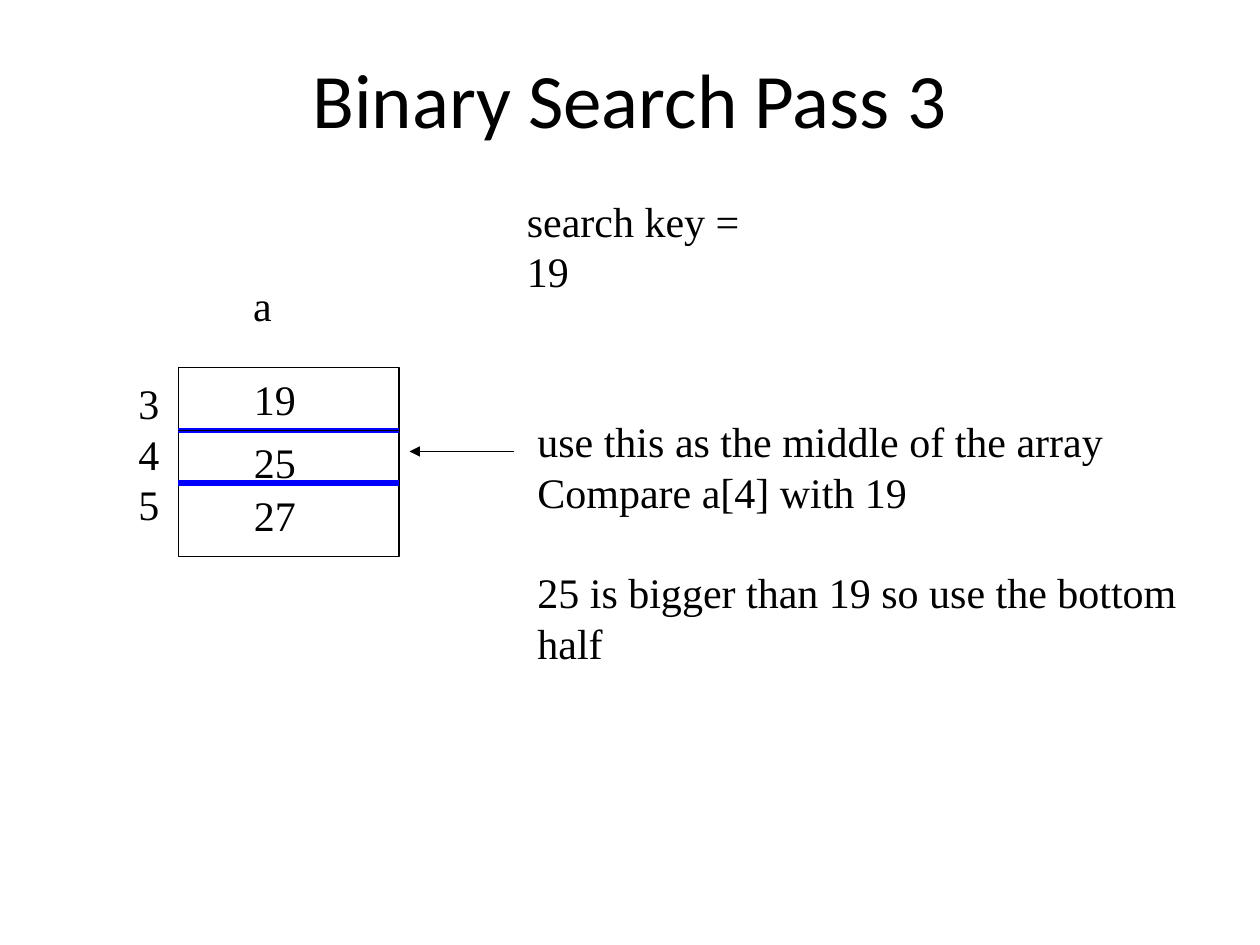
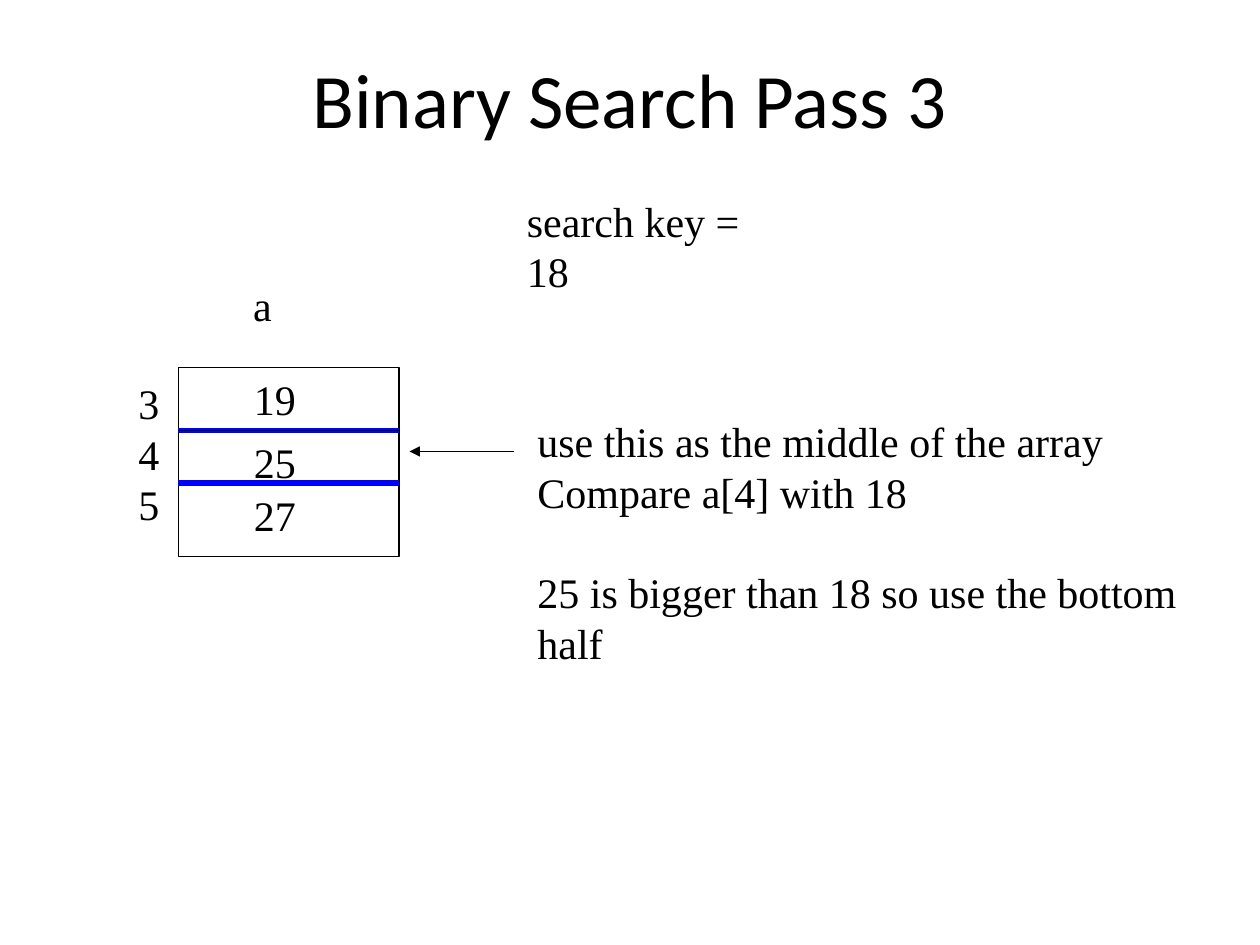
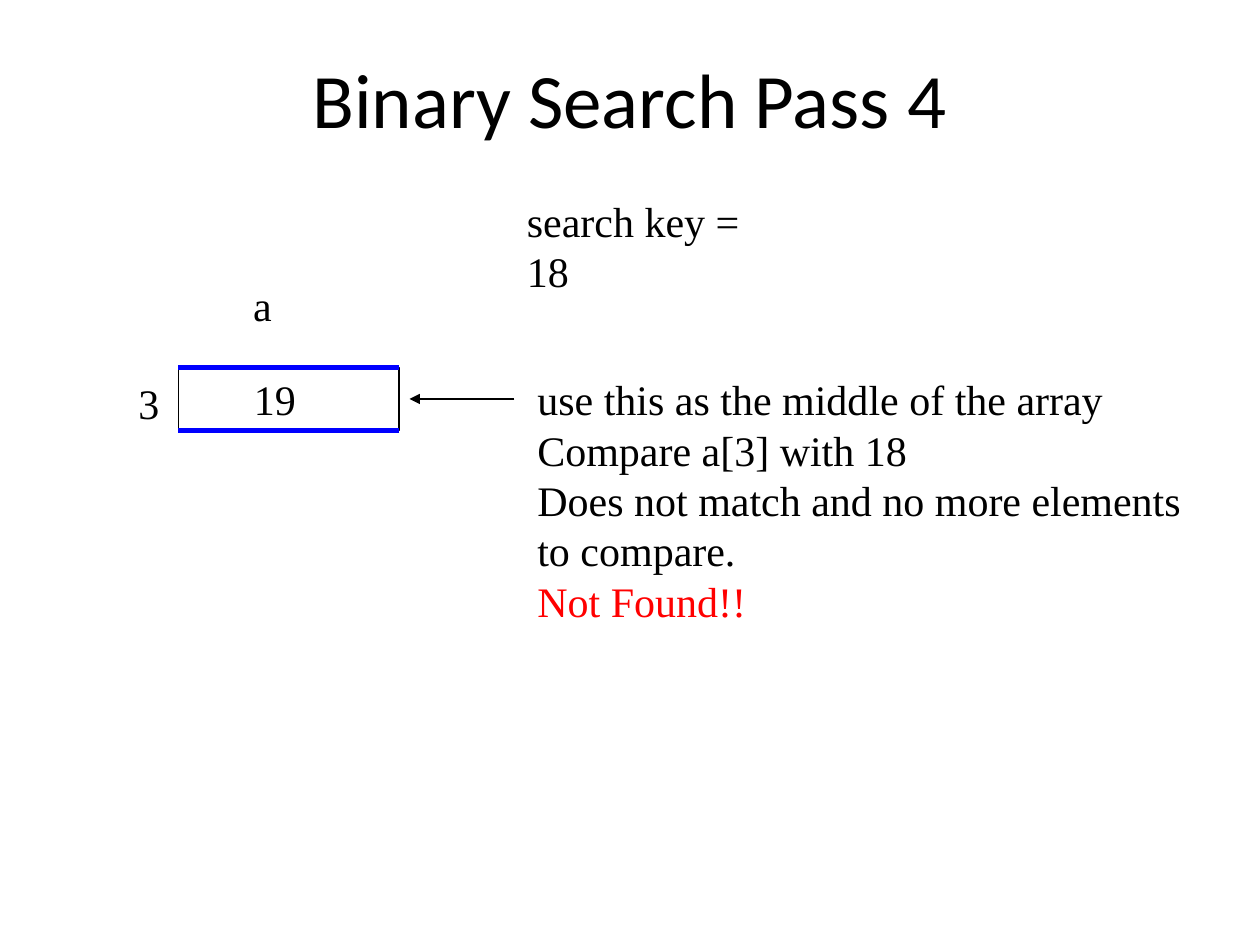
from lxml.etree import SubElement
from pptx import Presentation
from pptx.dml.color import RGBColor
from pptx.enum.shapes import MSO_CONNECTOR, MSO_SHAPE
from pptx.enum.text import MSO_ANCHOR, PP_ALIGN
from pptx.oxml.ns import qn
from pptx.util import Pt

BLACK = RGBColor(0x00, 0x00, 0x00)
BLUE = RGBColor(0x00, 0x00, 0xFF)
RED = RGBColor(0xFF, 0x00, 0x00)
TITLE_FONT = "Calibri"
BODY_FONT = "Times New Roman"

THIN, THICK = 0.75, 3
LINE_HEIGHT = 28.8
PADDING = 3.6
ARRAY_LEFT, ARRAY_RIGHT = 102, 228
INDEX_TOP = 126
INDEX_OFFSET = 3 * LINE_HEIGHT


def third_pass(key):
    return {
        "title": "Binary Search Pass 3",
        "key": key,
        "cells": [("3", "19"), ("4", "25"), ("5", "27")],
        "edges": [210, 246, 276, 318],
        "dividers": [(246, BLUE, THICK), (246, BLACK, THIN), (276, BLUE, THICK)],
        "arrow": 258,
        "notes_box": (300, 234, 385.2),
        "notes": [
            ("use this as the middle of the array", BLACK, 0),
            (f"Compare a[4] with {key}", BLACK, 0),
            (f"25 is bigger than {key} so use the bottom", BLACK, LINE_HEIGHT),
            ("half", BLACK, 0),
        ],
    }


FOURTH_PASS = {
    "title": "Binary Search Pass 4",
    "key": 18,
    "cells": [("3", "19")],
    "edges": [210, 246],
    "dividers": [(210, BLUE, THICK), (246, BLUE, THICK)],
    "arrow": 228,
    "notes_box": (300, 210, 388),
    "notes": [
        ("use this as the middle of the array", BLACK, 0),
        ("Compare a[3] with 18", BLACK, 0),
        ("Does not match and no more elements", BLACK, 0),
        ("to compare.", BLACK, 0),
        ("Not Found!!", RED, 0),
    ],
}

PASSES = [third_pass(19), third_pass(18), FOURTH_PASS]


def add_title(slide, text):
    frame = slide.shapes.add_textbox(Pt(36), Pt(21.6), Pt(648), Pt(68.4)).text_frame
    frame.word_wrap = True
    frame.vertical_anchor = MSO_ANCHOR.MIDDLE
    paragraph = frame.paragraphs[0]
    paragraph.text = text
    paragraph.alignment = PP_ALIGN.CENTER
    paragraph.font.name = TITLE_FONT
    paragraph.font.size = Pt(44)
    paragraph.font.color.rgb = BLACK


def add_lines(slide, left, top, width, lines, alignment=PP_ALIGN.CENTER, offset=0):
    gaps = sum(gap for _, _, gap in lines)
    height = offset + len(lines) * LINE_HEIGHT + gaps + 2 * PADDING
    frame = slide.shapes.add_textbox(Pt(left), Pt(top), Pt(width), Pt(height)).text_frame
    frame.word_wrap = False
    frame.margin_top = Pt(offset + PADDING)
    for number, (text, color, gap) in enumerate(lines):
        paragraph = frame.add_paragraph() if number else frame.paragraphs[0]
        paragraph.text = text
        paragraph.alignment = alignment
        paragraph.line_spacing = Pt(LINE_HEIGHT)
        if gap:
            paragraph.space_before = Pt(gap)
        paragraph.font.name = BODY_FONT
        paragraph.font.size = Pt(24)
        paragraph.font.color.rgb = color


def add_rule(slide, start, end, y, color, width, arrow=False):
    connector = slide.shapes.add_connector(
        MSO_CONNECTOR.STRAIGHT, Pt(start), Pt(y), Pt(end), Pt(y))
    connector.line.color.rgb = color
    connector.line.width = Pt(width)
    if arrow:
        SubElement(connector.line._get_or_add_ln(), qn("a:tailEnd"), type="triangle")
    SubElement(connector._element.spPr, qn("a:effectLst"))


def add_array(slide, content):
    edges = content["edges"]
    frame = slide.shapes.add_shape(
        MSO_SHAPE.RECTANGLE, Pt(ARRAY_LEFT), Pt(edges[0]),
        Pt(ARRAY_RIGHT - ARRAY_LEFT), Pt(edges[-1] - edges[0]))
    frame.shadow.inherit = False
    frame.fill.background()
    frame.line.color.rgb = BLACK
    frame.line.width = Pt(THIN)
    for y, color, width in content["dividers"]:
        add_rule(slide, ARRAY_LEFT, ARRAY_RIGHT, y, color, width)
    indexes = [(index, BLACK, 0) for index, _ in content["cells"]]
    add_lines(slide, 72, INDEX_TOP, 26, indexes, offset=INDEX_OFFSET)
    for top, (_, value) in zip(edges, content["cells"]):
        add_lines(slide, 138, top, 38.2, [(value, BLACK, 0)])
    add_lines(slide, 137.5, 156, 25, [("a", BLACK, 0)])


def add_pass(presentation, content):
    slide = presentation.slides.add_slide(presentation.slide_layouts[6])
    add_title(slide, content["title"])
    add_array(slide, content)
    add_rule(slide, 294, 234, content["arrow"], BLACK, THIN, arrow=True)
    search_key = [(f"search key = {content['key']}", BLACK, 0)]
    add_lines(slide, 294, 108, 165.6, search_key, PP_ALIGN.LEFT)
    add_lines(slide, *content["notes_box"], content["notes"], PP_ALIGN.LEFT)


def main():
    presentation = Presentation()
    presentation.slide_width = Pt(720)
    presentation.slide_height = Pt(540)
    for content in PASSES:
        add_pass(presentation, content)
    presentation.save("out.pptx")


if __name__ == "__main__":
    main()
